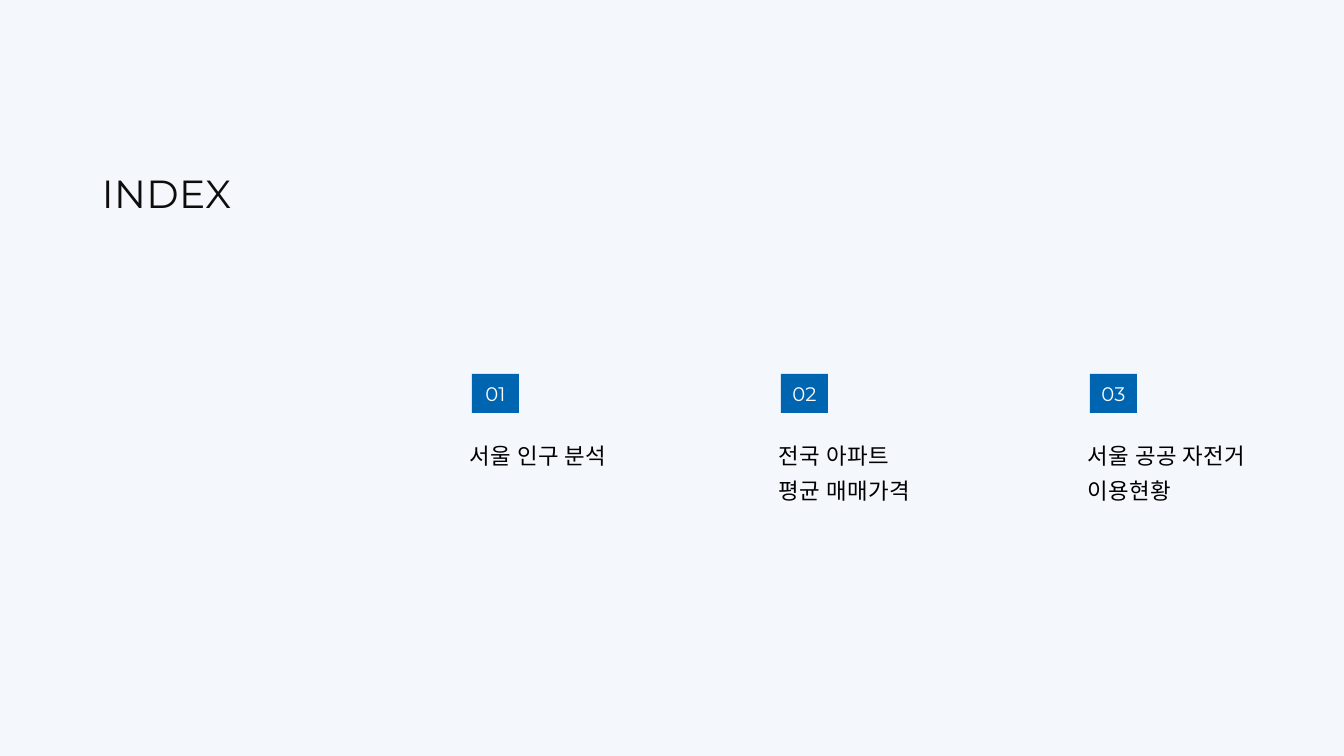
from dataclasses import dataclass

from lxml import etree
from pptx import Presentation
from pptx import util as u
from pptx.dml import color
from pptx.enum import shapes, text
from pptx.oxml import ns


@dataclass(frozen=True)
class Theme:
    back: str = "F4F7FC"
    blue: str = "0065B0"
    ink: str = "0D0D0D"
    black: str = "000000"
    white: str = "FFFFFF"
    latin: str = "Montserrat"
    korean: str = "Noto Sans CJK KR"
    title: int = 28
    label: int = 16
    badge: int = 14


THEME = Theme()
SCALE = 914400 / 100.8


def px(*sizes):
    return [u.Emu(round(size * SCALE)) for size in sizes]


def paint(fill, tone):
    fill.solid()
    fill.fore_color.rgb = color.RGBColor.from_string(tone)


def write(shape, lines, *, font, size, tone, lead=None, gap=None,
          align=text.PP_ALIGN.LEFT, anchor=text.MSO_ANCHOR.TOP, wrap=False):
    frame = shape.text_frame
    frame.word_wrap = wrap
    frame.vertical_anchor = anchor
    if not wrap:
        frame.auto_size = text.MSO_AUTO_SIZE.SHAPE_TO_FIT_TEXT
    frame.text = "\n".join(lines)
    for para in frame.paragraphs:
        para.alignment = align
        para.line_spacing = lead
        for run in para.runs:
            run.font.size = u.Pt(size)
            run.font.color.rgb = color.RGBColor.from_string(tone)
            run.font.name = font
            props = run._r.get_or_add_rPr()
            etree.SubElement(props, ns.qn("a:ea"), typeface=font)
            if gap:
                props.set("spc", str(round(gap * 100)))


def heading(slide, box):
    shape = slide.shapes.add_textbox(*px(*box))
    write(shape, ["INDEX"], font=THEME.latin, size=THEME.title,
          tone=THEME.ink, lead=1.1, gap=0.3)


def entry(slide, box, number, lines):
    left, top, width, height = box
    label = slide.shapes.add_textbox(*px(left, top + 55, width, height - 55))
    write(label, lines, font=THEME.korean, size=THEME.label,
          tone=THEME.black, lead=1.3, gap=0.3)
    badge = slide.shapes.add_shape(
        shapes.MSO_SHAPE.RECTANGLE, *px(left + 12, top, 47, 39))
    badge.shadow.inherit = False
    paint(badge.fill, THEME.blue)
    badge.line.fill.background()
    write(badge, [f"{number:02}"], font=THEME.latin, size=THEME.badge,
          tone=THEME.white, align=text.PP_ALIGN.CENTER,
          anchor=text.MSO_ANCHOR.MIDDLE, wrap=True)


def index(slide, box, items):
    left, top, pitch = box
    for spot, (width, lines) in enumerate(items):
        height = 60 + 36 * len(lines)
        entry(slide, (left + spot * pitch, top, width, height), spot + 1, lines)


deck = Presentation()
deck.slide_width, deck.slide_height = px(1344, 756)
slide = deck.slides.add_slide(deck.slide_layouts[6])
paint(slide.background.fill, THEME.back)
heading(slide, (92, 160, 156, 59))
index(slide, (460, 374, 309), [
    (175, ["서울 인구 분석"]),
    (167, ["전국 아파트", "평균 매매가격"]),
    (199, ["서울 공공 자전거", "이용현황"]),
])
deck.save("out.pptx")
